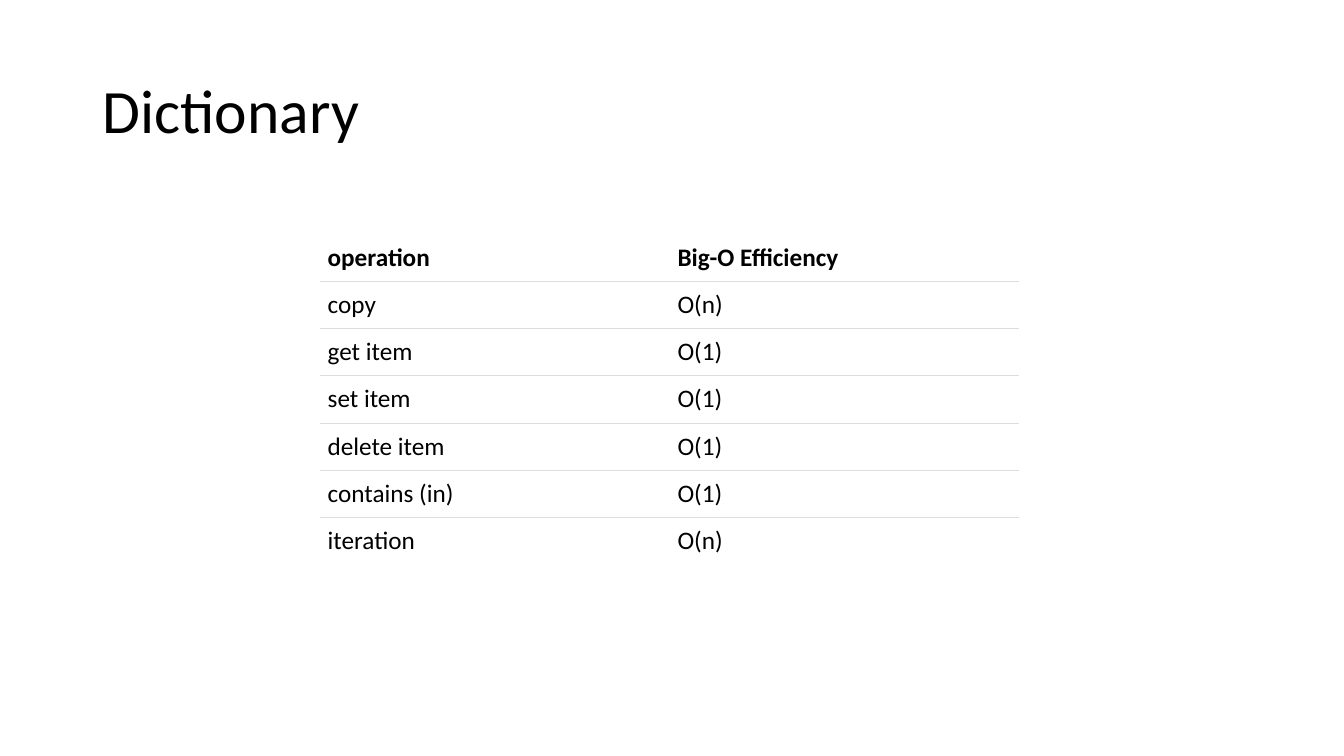
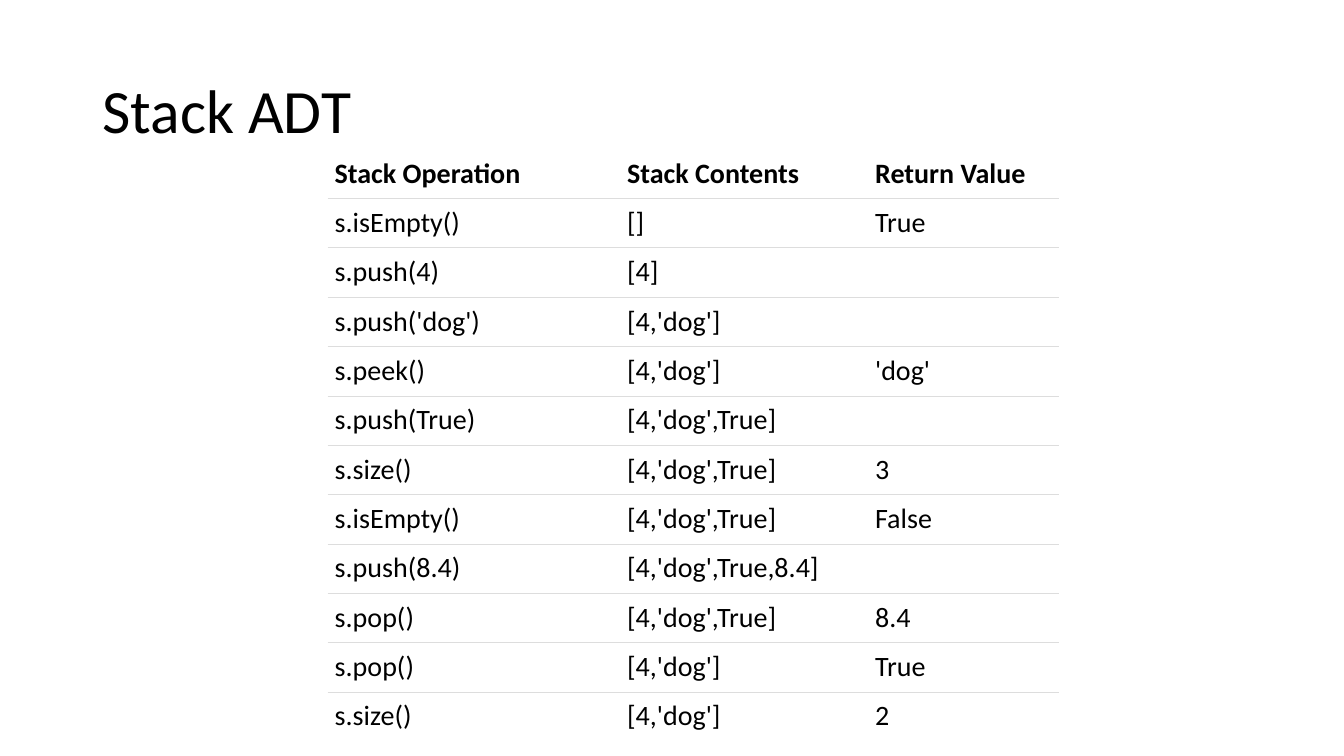
from lxml import etree
from pptx import Presentation
from pptx.dml.color import RGBColor
from pptx.enum.text import MSO_ANCHOR
from pptx.oxml.ns import qn
from pptx.util import Inches, Pt

MID, LOW, TOP = MSO_ANCHOR.MIDDLE, MSO_ANCHOR.BOTTOM, MSO_ANCHOR.TOP
WIDE, HIGH = 13.33, 7.5
FONT, INK, PAPER, RULE = "Calibri", "000000", "FFFFFF", "DDDDDD"
TITLE = {"left": 0.92, "top": 0.4, "width": 11.5, "height": 1.45}

SLIDES = [
    {
        "title": "Dictionary",
        "at": (3.17, 2.32), "cols": (3.47, 3.47), "row": 0.47,
        "size": 18, "pad": 0.08,
        "rows": [
            ("operation", "Big-O Efficiency"),
            ("copy", "O(n)"),
            ("get item", "O(1)"),
            ("set item", "O(1)"),
            ("delete item", "O(1)"),
            ("contains (in)", "O(1)"),
            ("iteration", "O(n)"),
        ],
    },
    {
        "title": "Stack ADT",
        "at": (3.25, 1.48), "cols": (2.9, 2.46, 1.89), "row": 0.49,
        "size": 20, "pad": 0.07,
        "rows": [
            ("Stack Operation", "Stack Contents", "Return Value"),
            ("s.isEmpty()", "[]", "True"),
            ("s.push(4)", "[4]", ""),
            ("s.push('dog')", "[4,'dog']", ""),
            ("s.peek()", "[4,'dog']", "'dog'"),
            ("s.push(True)", "[4,'dog',True]", ""),
            ("s.size()", "[4,'dog',True]", "3"),
            ("s.isEmpty()", "[4,'dog',True]", "False"),
            ("s.push(8.4)", "[4,'dog',True,8.4]", ""),
            ("s.pop()", "[4,'dog',True]", "8.4"),
            ("s.pop()", "[4,'dog']", "True"),
            ("s.size()", "[4,'dog']", "2"),
        ],
    },
]


def color(hue):
    return RGBColor.from_string(hue)


def assign(item, values):
    for name, value in values.items():
        setattr(item, name, value)


def style(font, size, bold=False):
    assign(font, {"name": FONT, "size": Pt(size), "bold": bold})
    font.color.rgb = color(INK)


def border(cell, side, shown):
    line = etree.SubElement(cell._tc.get_or_add_tcPr(), qn("a:ln" + side))
    line.set("w", str(Pt(0.75)))
    if shown:
        fill = etree.SubElement(line, qn("a:solidFill"))
        etree.SubElement(fill, qn("a:srgbClr")).set("val", RULE)
    else:
        etree.SubElement(line, qn("a:noFill"))


def add_title(slide, text):
    box = slide.shapes.add_textbox(*map(Inches, TITLE.values()))
    frame = box.text_frame
    assign(frame, {"word_wrap": True, "vertical_anchor": MID})
    para = frame.paragraphs[0]
    assign(para, {"text": text, "line_spacing": 0.9})
    style(para.runs[0].font, 44)


def add_grid(slide, data):
    rows, cols = data["rows"], data["cols"]
    size = sum(cols), data["row"] * len(rows)
    frame = slide.shapes.add_table(
        len(rows), len(cols), *map(Inches, data["at"] + size))
    table = frame.table
    table.horz_banding = False
    for col, width in zip(table.columns, cols):
        col.width = Inches(width)
    pad = {"margin_" + side: Inches(data["pad"])
           for side in ("left", "right", "top", "bottom")}
    last = len(rows) - 1
    for r, row in enumerate(rows):
        table.rows[r].height = Inches(data["row"])
        sides = {"L": False, "R": False, "T": r > 0, "B": r < last}
        for c, text in enumerate(row):
            cell = table.cell(r, c)
            assign(cell, pad)
            cell.vertical_anchor = TOP if r else LOW
            for side, shown in sides.items():
                border(cell, side, shown)
            cell.fill.solid()
            cell.fill.fore_color.rgb = color(PAPER)
            para = cell.text_frame.paragraphs[0]
            para.text = text
            for run in para.runs:
                style(run.font, data["size"], r == 0)


def main():
    deck = Presentation()
    assign(deck, {"slide_width": Inches(WIDE), "slide_height": Inches(HIGH)})
    for data in SLIDES:
        slide = deck.slides.add_slide(deck.slide_layouts[6])
        add_title(slide, data["title"])
        add_grid(slide, data)
    deck.save("out.pptx")


if __name__ == "__main__":
    main()
